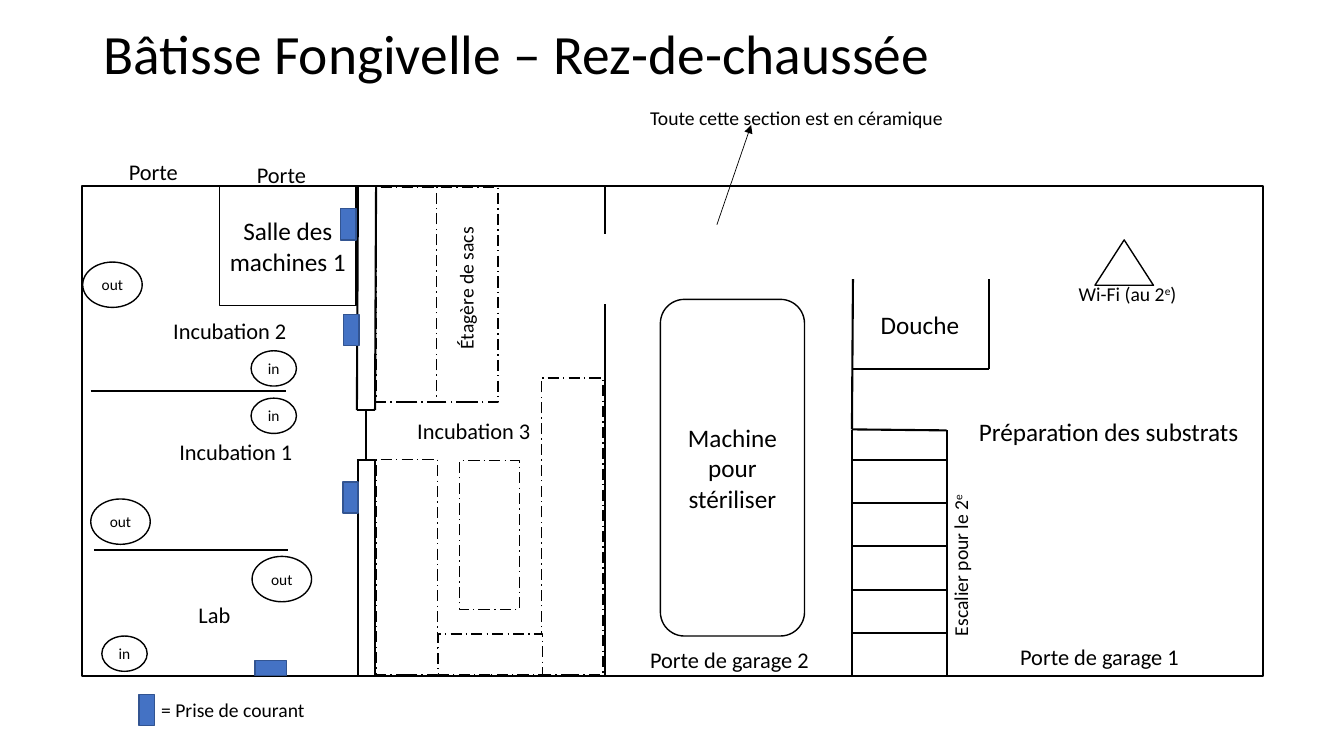
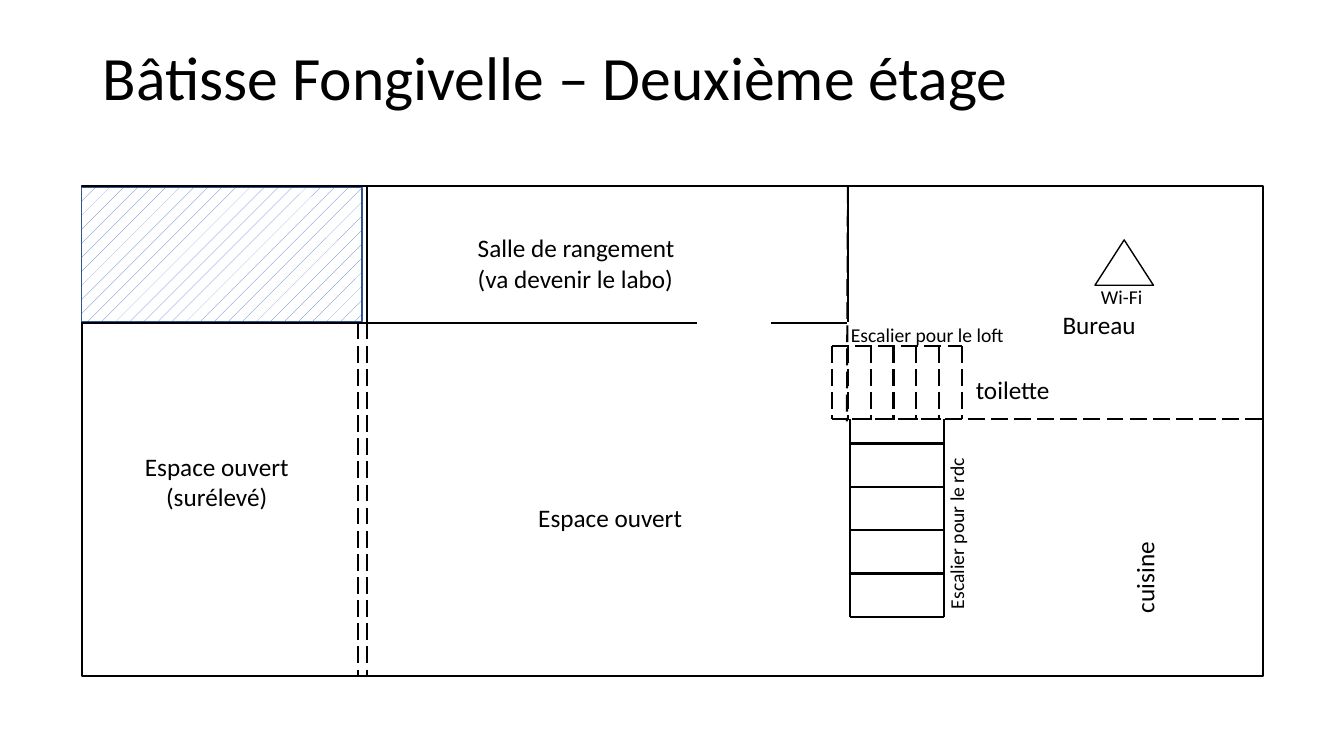
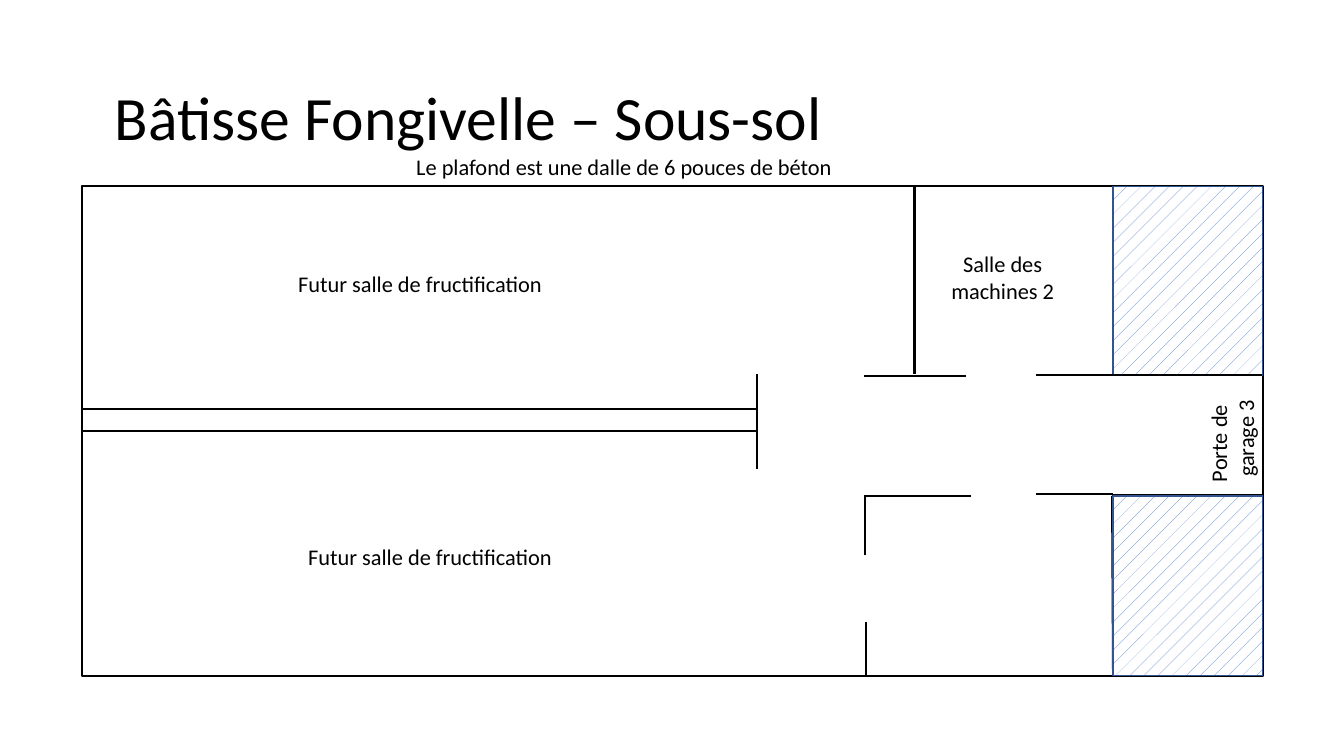
from pptx import Presentation
from pptx.dml.color import RGBColor
from pptx.enum.dml import MSO_LINE, MSO_PATTERN
from pptx.enum.shapes import MSO_CONNECTOR, MSO_SHAPE
from pptx.enum.text import MSO_ANCHOR, MSO_AUTO_SIZE, PP_ALIGN
from pptx.oxml.ns import qn
from pptx.util import Inches, Pt
from lxml import etree

COLORS = {"ink": "000000", "paper": "FFFFFF", "blue": "4472C4", "navy": "325491"}
FONT = "Calibri"
DASH = MSO_LINE.LONG_DASH
DASH_DOT = MSO_LINE.LONG_DASH_DOT
HATCH = MSO_PATTERN.PERCENT_5
STRAIGHT = MSO_CONNECTOR.STRAIGHT
RECTANGLE = MSO_SHAPE.RECTANGLE
ROUNDED = MSO_SHAPE.ROUNDED_RECTANGLE
OVAL = MSO_SHAPE.OVAL
TRIANGLE = MSO_SHAPE.ISOSCELES_TRIANGLE
MIDDLE = MSO_ANCHOR.MIDDLE
LEFT, CENTER = PP_ALIGN.LEFT, PP_ALIGN.CENTER
FIT_SHAPE = MSO_AUTO_SIZE.SHAPE_TO_FIT_TEXT
BUILDING = (0.81, 1.85, 11.72, 4.86)
TREAD_GAP = 0.43


def rgb(name):
    return RGBColor.from_string(COLORS[name])


def inches(values):
    return [Inches(value) for value in values]


def write(frame, text, size, align=LEFT):
    """Fill a frame: a line break starts a paragraph, text between bars is raised."""
    for number, line in enumerate(text.split("\n")):
        para = frame.paragraphs[0] if number == 0 else frame.add_paragraph()
        para.alignment = align
        for index, piece in enumerate(line.split("|")):
            span = para.add_run()
            span.text = piece
            span.font.name = FONT
            span.font.size = Pt(size)
            span.font.color.rgb = rgb("ink")
            if index % 2:
                span.font._element.set("baseline", "30000")


def add_title(page, text, place, size):
    frame = page.shapes.add_textbox(*inches(place)).text_frame
    frame.word_wrap = True
    frame.vertical_anchor = MIDDLE
    write(frame, text, size)
    frame.paragraphs[0].line_spacing = 0.9


def add_label(page, text, place, size, align=LEFT, rotation=0):
    box = page.shapes.add_textbox(*inches(place))
    box.rotation = rotation
    box.text_frame.word_wrap = False
    box.text_frame.auto_size = FIT_SHAPE
    write(box.text_frame, text, size, align)


def add_box(page, place, kind=RECTANGLE, fill="paper", line="ink", width=1, dash=None):
    box = page.shapes.add_shape(kind, *inches(place))
    box.shadow.inherit = False
    box.fill.solid()
    box.fill.fore_color.rgb = rgb(fill)
    box.line.color.rgb = rgb(line)
    box.line.width = Pt(width)
    if dash:
        box.line.dash_style = dash
    return box


def add_room(page, text, place, kind=RECTANGLE):
    frame = add_box(page, place, kind).text_frame
    frame.word_wrap = True
    frame.vertical_anchor = MIDDLE
    write(frame, text, 18, CENTER)


def add_vent(page, text, left, top):
    width, height = (0.59, 0.45) if text == "out" else (0.45, 0.35)
    frame = add_box(page, (left, top, width, height), OVAL).text_frame
    frame.margin_left = frame.margin_right = 0
    frame.vertical_anchor = MIDDLE
    write(frame, text, 11, CENTER)


def add_outlet(page, left, top, rotation=0):
    box = add_box(page, (left, top, 0.15, 0.31), fill="blue", line="navy")
    box.rotation = rotation


def add_closed_area(page, place):
    fill = add_box(page, place, line="navy").fill
    fill.patterned()
    fill.pattern = HATCH
    fill.fore_color.rgb = rgb("blue")
    fill.back_color.rgb = rgb("paper")


def add_router(page):
    add_box(page, (10.86, 2.38, 0.58, 0.45), TRIANGLE)


def add_line(page, ends, dash=None, width=1.5, arrow=False):
    line = page.shapes.add_connector(STRAIGHT, *inches(ends))
    line.line.color.rgb = rgb("ink")
    line.line.width = Pt(width)
    if dash:
        line.line.dash_style = dash
    properties = line._element.spPr
    if arrow:
        outline = properties.find(qn("a:ln"))
        etree.SubElement(outline, qn("a:tailEnd"), type="triangle")
    etree.SubElement(properties, qn("a:effectLst"))
    return line


def add_walls(page, walls, dash=None):
    for ends in walls:
        add_line(page, ends, dash)


def add_stairs(page, left, right, top, bottom, first_tread):
    """Draw two rails and five evenly spaced treads."""
    rails = [(x, top, x, bottom) for x in (left, right)]
    levels = [first_tread + step * TREAD_GAP for step in range(5)]
    add_walls(page, rails + [(left, y, right, y) for y in levels])


def add_floor(deck, title, title_place, title_size=44):
    """Start a page with its title and the outline of the building."""
    page = deck.slides.add_slide(deck.slide_layouts[6])
    add_title(page, title, title_place, title_size)
    return page, add_box(page, BUILDING, width=1.5)


def build_ground_floor(deck):
    page, _ = add_floor(deck, "Bâtisse Fongivelle – Rez-de-chaussée",
                        (0.93, 0.3, 11.5, 0.53), 39.6)
    for place in [
        (5.37, 3.75, 0.61, 2.94), (3.73, 4.56, 0.61, 2.13), (4.56, 4.57, 0.59, 1.48),
        (4.35, 6.29, 1.03, 0.4), (3.73, 1.86, 0.61, 2.13), (4.33, 1.86, 0.61, 2.13),
    ]:
        add_box(page, place, dash=DASH_DOT)
    add_room(page, "Machine pour stériliser", (6.55, 2.97, 1.43, 3.34), ROUNDED)
    add_room(page, "Salle des machines 1", (2.18, 1.85, 1.35, 1.18))
    add_walls(page, [
        (3.55, 4.57, 3.55, 6.71), (3.72, 4.56, 3.72, 6.71),
        (3.55, 1.85, 3.54, 4.07), (3.73, 1.86, 3.72, 4.07),
        (3.54, 4.07, 3.72, 4.07), (3.54, 4.56, 3.72, 4.56),
        (3.63, 4.07, 3.63, 4.55),
        (6, 1.84, 6, 2.32), (6, 3.02, 6, 6.72),
        (8.46, 2.77, 8.45, 4.26), (8.45, 4.26, 9.39, 4.27),
        (9.81, 3.66, 8.46, 3.66), (9.81, 2.77, 9.81, 3.66),
        (0.93, 5.46, 2.86, 5.46), (0.9, 3.88, 2.84, 3.88),
    ])
    add_stairs(page, 8.45, 9.39, 4.27, 6.71, 4.56)
    add_line(page, (7.11, 2.23, 7.45, 1.24), width=0.5, arrow=True)
    for text, left, top, width in [
        ("Porte de garage 1", 10.02, 6.33, 1.8), ("Porte de garage 2", 6.35, 6.36, 1.8),
        ("Porte", 2.45, 1.55, 0.7), ("Porte", 1.18, 1.52, 0.7), ("Lab", 1.87, 5.91, 0.52),
        ("Incubation 1", 1.68, 4.3, 1.34), ("Incubation 2", 1.62, 3.1, 1.34),
        ("Incubation 3", 4.04, 4.09, 1.34),
    ]:
        add_label(page, text, (left, top, width, 0.37), 16)
    add_label(page, "Préparation des substrats", (9.61, 4.08, 2.81, 0.4), 18)
    add_label(page, " Douche", (8.58, 3.02, 1.05, 0.4), 18)
    for text, left, top, width, rotation in [
        ("Toute cette section est en céramique", 6.35, 1, 3.14, 0),
        ("Escalier pour le 2|e", 8.68, 5.39, 1.7, 270),
        ("Étagère de sacs", 3.89, 2.66, 1.47, 270),
        ("= Prise de courant", 1.5, 6.87, 1.64, 0),
        ("Wi-Fi (au 2|e|)", 10.6, 2.75, 1.22, 0),
    ]:
        add_label(page, text, (left, top, width, 0.34), 14, rotation=rotation)
    for left, top in [(3.41, 3.12), (3.4, 4.78), (3.38, 2.07), (1.38, 6.89)]:
        add_outlet(page, left, top)
    add_outlet(page, 2.61, 6.47, 270)
    for text, left, top in [
        ("out", 2.5, 5.52), ("out", 0.9, 4.95), ("out", 0.82, 2.6),
        ("in", 1.01, 6.31), ("in", 2.49, 3.95), ("in", 2.49, 3.48),
    ]:
        add_vent(page, text, left, top)
    add_router(page)


def build_second_floor(deck):
    page, _ = add_floor(deck, "Bâtisse Fongivelle – Deuxième étage", (0.92, 0.4, 11.5, 0.79))
    add_walls(page, [
        (0.81, 3.2, 3.64, 3.2), (3.64, 3.2, 6.91, 3.2), (7.65, 3.2, 8.4, 3.2),
        (3.64, 1.86, 3.64, 3.2), (8.41, 1.85, 8.41, 3.19),
    ])
    add_walls(page, [
        (3.55, 3.2, 3.55, 6.71), (3.64, 3.2, 3.64, 6.72),
        (8.41, 1.85, 8.4, 4.18), (12.52, 4.16, 8.4, 4.16),
    ], DASH)
    add_stairs(page, 8.43, 9.36, 4.16, 6.12, 4.4)
    loft_top, loft_bottom = 3.43, 4.16
    loft_treads = [8.25] + [8.41 + step * 0.226 for step in range(6)]
    add_walls(page, [(8.25, y, 9.54, y) for y in (loft_top, loft_bottom)], DASH)
    add_walls(page, [(x, loft_top, x, loft_bottom) for x in loft_treads], DASH)
    add_router(page)
    for text, place, size, align, rotation in [
        ("Escalier pour le rdc", (8.61, 5.09, 1.76, 0.34), 14, LEFT, 270),
        ("Escalier pour le loft", (8.34, 3.15, 1.74, 0.34), 14, LEFT, 0),
        ("Wi-Fi", (10.82, 2.78, 0.62, 0.34), 14, LEFT, 0),
        ("cuisine", (10.89, 5.52, 0.92, 0.4), 18, LEFT, 270),
        ("Bureau", (10.44, 3.02, 0.94, 0.4), 18, LEFT, 0),
        ("toilette", (9.58, 3.66, 0.95, 0.4), 18, LEFT, 0),
        ("Espace ouvert", (5.24, 4.93, 1.64, 0.4), 18, LEFT, 0),
        ("Salle de rangement\n(va devenir le labo)", (4.64, 2.26, 2.24, 0.71), 18, LEFT, 0),
        ("Espace ouvert\n(surélevé)", (1.33, 4.43, 1.64, 0.71), 18, CENTER, 0),
    ]:
        add_label(page, text, place, size, align, rotation)
    add_closed_area(page, (0.81, 1.86, 2.78, 1.33))


def build_basement(deck):
    page, building = add_floor(deck, "Bâtisse Fongivelle – Sous-sol", (1.04, 0.8, 11.5, 0.79))
    add_closed_area(page, (11.04, 1.85, 1.48, 1.87))
    add_walls(page, [
        (10.28, 3.72, 12.52, 3.72), (8.57, 3.73, 9.58, 3.73), (9.07, 1.85, 9.07, 3.71),
        (11.03, 4.91, 12.52, 4.91), (11.03, 4.92, 11.04, 6.71), (10.28, 4.9, 11.04, 4.9),
        (0.81, 4.06, 7.51, 4.06), (7.51, 4.65, 7.51, 3.71),
        (8.57, 4.92, 9.63, 4.92), (8.58, 5.51, 8.58, 4.92), (8.59, 6.71, 8.59, 6.17),
    ])
    middle_wall = add_line(page, (0.81, 4.28, 7.5, 4.28))
    middle_wall.begin_connect(building, 1)
    add_closed_area(page, (11.04, 4.92, 1.48, 1.78))
    add_label(page, "Porte de\n garage 3", (11.71, 4.05, 1.02, 0.64), 16, rotation=270)
    for text, place in [
        ("Salle des\nmachines 2", (9.33, 2.43, 1.23, 0.64)),
        ("Futur salle de fructification", (2.84, 2.63, 2.65, 0.37)),
        ("Futur salle de fructification", (2.94, 5.34, 2.65, 0.37)),
        ("Le plafond est une dalle de 6 pouces de béton", (4, 1.47, 4.38, 0.37)),
    ]:
        add_label(page, text, place, 16, CENTER)


def main():
    deck = Presentation()
    deck.slide_width, deck.slide_height = Inches(13.33), Inches(7.5)
    build_ground_floor(deck)
    build_second_floor(deck)
    build_basement(deck)
    deck.save("out.pptx")


if __name__ == "__main__":
    main()
